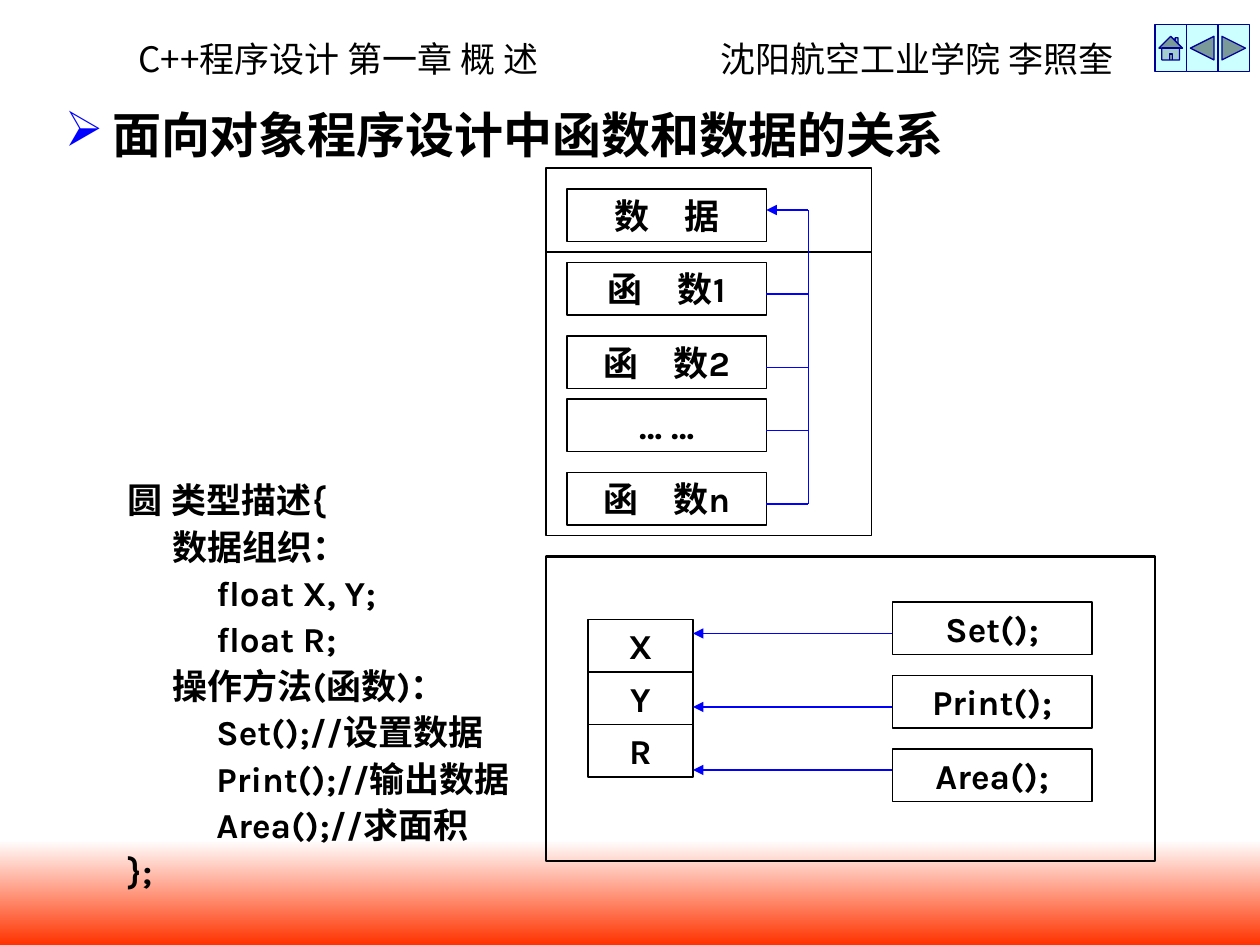
from dataclasses import dataclass
from typing import NamedTuple

from lxml import etree
from pptx import Presentation
from pptx.dml.color import RGBColor
from pptx.enum.shapes import MSO_CONNECTOR, MSO_SHAPE
from pptx.enum.text import MSO_ANCHOR, PP_ALIGN
from pptx.oxml.ns import qn
from pptx.util import Pt

RECT = MSO_SHAPE.RECTANGLE
HOME = MSO_SHAPE.ACTION_BUTTON_HOME
BACK = MSO_SHAPE.ACTION_BUTTON_BACK_OR_PREVIOUS
NEXT = MSO_SHAPE.ACTION_BUTTON_FORWARD_OR_NEXT
STRAIGHT = MSO_CONNECTOR.STRAIGHT
MIDDLE = MSO_ANCHOR.MIDDLE
CENTER = PP_ALIGN.CENTER


@dataclass(frozen=True)
class Theme:
    ink: RGBColor = RGBColor(0x00, 0x00, 0x00)
    blue: RGBColor = RGBColor(0x00, 0x00, 0xFF)
    white: RGBColor = RGBColor(0xFF, 0xFF, 0xFF)
    glow: RGBColor = RGBColor(0xFF, 0x33, 0x00)
    key: RGBColor = RGBColor(0xCC, 0xFF, 0xFF)
    edge: RGBColor = RGBColor(0x00, 0x00, 0x99)
    font: str = "Karla"
    head: str = "Noto Sans CJK SC"
    big: float = 28
    text: float = 20
    thin: float = 0.75
    wire: float = 1
    thick: float = 1.5


THEME = Theme()


class Box(NamedTuple):
    left: float
    top: float
    width: float
    height: float
    label: str = ""
    line: float = THEME.thin


class Wire(NamedTuple):
    x1: float
    y1: float
    x2: float
    y2: float
    arrow: bool = False


def add_run(para, text: str, size: float = THEME.text,
            font: str = THEME.font, bold: bool = True) -> None:
    run = para.add_run()
    run.text = text
    run.font.size = Pt(size)
    run.font.bold = bold
    run.font.name = font
    run.font.color.rgb = THEME.ink
    east = etree.SubElement(run.font._element, qn("a:ea"))
    east.set("typeface", font)


def add_shape(slide, kind, box: Box):
    shape = slide.shapes.add_shape(kind, *map(Pt, box[:4]))
    shape.shadow.inherit = False
    return shape


def draw_box(slide, box: Box) -> None:
    shape = add_shape(slide, RECT, box)
    shape.fill.background()
    shape.line.color.rgb = THEME.ink
    shape.line.width = Pt(box.line)
    if box.label:
        frame = shape.text_frame
        frame.word_wrap = False
        frame.vertical_anchor = MIDDLE
        para = frame.paragraphs[0]
        para.alignment = CENTER
        add_run(para, box.label)


def draw_wire(slide, wire: Wire) -> None:
    link = slide.shapes.add_connector(STRAIGHT, *map(Pt, wire[:4]))
    link.line.color.rgb = THEME.blue
    link.line.width = Pt(THEME.wire)
    if wire.arrow:
        etree.SubElement(link.line._get_or_add_ln(), qn("a:tailEnd")).set("type", "triangle")
    etree.SubElement(link._element.spPr, qn("a:effectLst"))


def add_text(slide, box: Box):
    frame = slide.shapes.add_textbox(*map(Pt, box[:4])).text_frame
    frame.word_wrap = True
    return frame


def draw_frame(slide) -> None:
    """Draw the header line, the glowing foot band and the three buttons."""
    para = add_text(slide, Box(72, 18, 594, 32)).paragraphs[0]
    tabs = etree.SubElement(para._p.get_or_add_pPr(), qn("a:tabLst"))
    stop = etree.SubElement(tabs, qn("a:tab"))
    stop.set("pos", str(Pt(332.5)))
    stop.set("algn", "l")
    for text in ("C++程序设计", " 第一章 概 述", "\t沈阳航空工业学院", " 李照奎"):
        add_run(para, text, font=THEME.head, bold=False)

    band = add_shape(slide, RECT, Box(0, 480, 720, 60))
    band.line.fill.background()
    band.fill.gradient()
    band.fill.gradient_angle = 270
    for stop, color in zip(band.fill.gradient_stops, (THEME.white, THEME.glow)):
        stop.color.rgb = color

    for i, kind in enumerate((HOME, BACK, NEXT)):
        key = add_shape(slide, kind, Box(660 + 18 * i, 14, 18, 27))
        key.fill.solid()
        key.fill.fore_color.rgb = THEME.key
        key.line.color.rgb = THEME.edge
        key.line.width = Pt(THEME.thin)


def draw_title(slide, text: str) -> None:
    para = add_text(slide, Box(30, 60, 618, 36)).paragraphs[0]
    para.line_spacing = 0.9
    props = para._p.get_or_add_pPr()
    props.set("marL", str(Pt(27)))
    props.set("indent", str(Pt(-27)))
    color = etree.SubElement(props, qn("a:buClr"))
    etree.SubElement(color, qn("a:srgbClr")).set("val", str(THEME.blue))
    etree.SubElement(props, qn("a:buChar")).set("char", "➢")
    add_run(para, text, THEME.big)


def draw_code(slide, lines: list[str]) -> None:
    frame = add_text(slide, Box(66, 270, 264, 243))
    for i, line in enumerate(lines):
        para = frame.add_paragraph() if i else frame.paragraphs[0]
        if i:
            para.space_before = Pt(2.5)
        add_run(para, line)


def draw_model(slide) -> None:
    """Draw the data above the functions that all reach it over one bus."""
    left, width, height, bus = 324, 114, 30, 462
    right = left + width
    draw_box(slide, Box(312, 96, 186, 48))
    draw_box(slide, Box(312, 144, 186, 162))
    draw_box(slide, Box(left, 108, width, height, "数　据"))
    for top, label in ((150, "函　数1"), (192, "函　数2"), (228, "… …"), (270, "函　数n")):
        draw_box(slide, Box(left, top, width, height, label))
        draw_wire(slide, Wire(right, top + 18, bus, top + 18))
    draw_wire(slide, Wire(bus, 288, bus, 120))
    draw_wire(slide, Wire(bus, 120, right, 120, True))


def draw_circle(slide) -> None:
    """Draw the circle type: three fields, each reached by a method."""
    draw_box(slide, Box(312, 318, 348, 174, line=THEME.thick))
    rows = (("X", "Set();", 362), ("Y", "Print();", 404), ("R", "Area();", 440))
    for i, (field, method, y) in enumerate(rows):
        draw_box(slide, Box(336, 354 + 30 * i, 60, 30, field))
        draw_box(slide, Box(510, 344 + 42 * i, 114, 30, method))
        draw_wire(slide, Wire(510, y, 396, y, True))


def main() -> None:
    deck = Presentation()
    deck.slide_width, deck.slide_height = Pt(720), Pt(540)
    slide = deck.slides.add_slide(deck.slide_layouts[6])
    draw_frame(slide)
    draw_title(slide, "面向对象程序设计中函数和数据的关系")
    draw_code(slide, [
        "圆 类型描述{",
        "     数据组织：",
        "          float X, Y;",
        "          float R;",
        "     操作方法(函数)：",
        "          Set();//设置数据",
        "          Print();//输出数据",
        "          Area();//求面积",
        "};",
    ])
    draw_model(slide)
    draw_circle(slide)
    deck.save("out.pptx")


if __name__ == "__main__":
    main()
